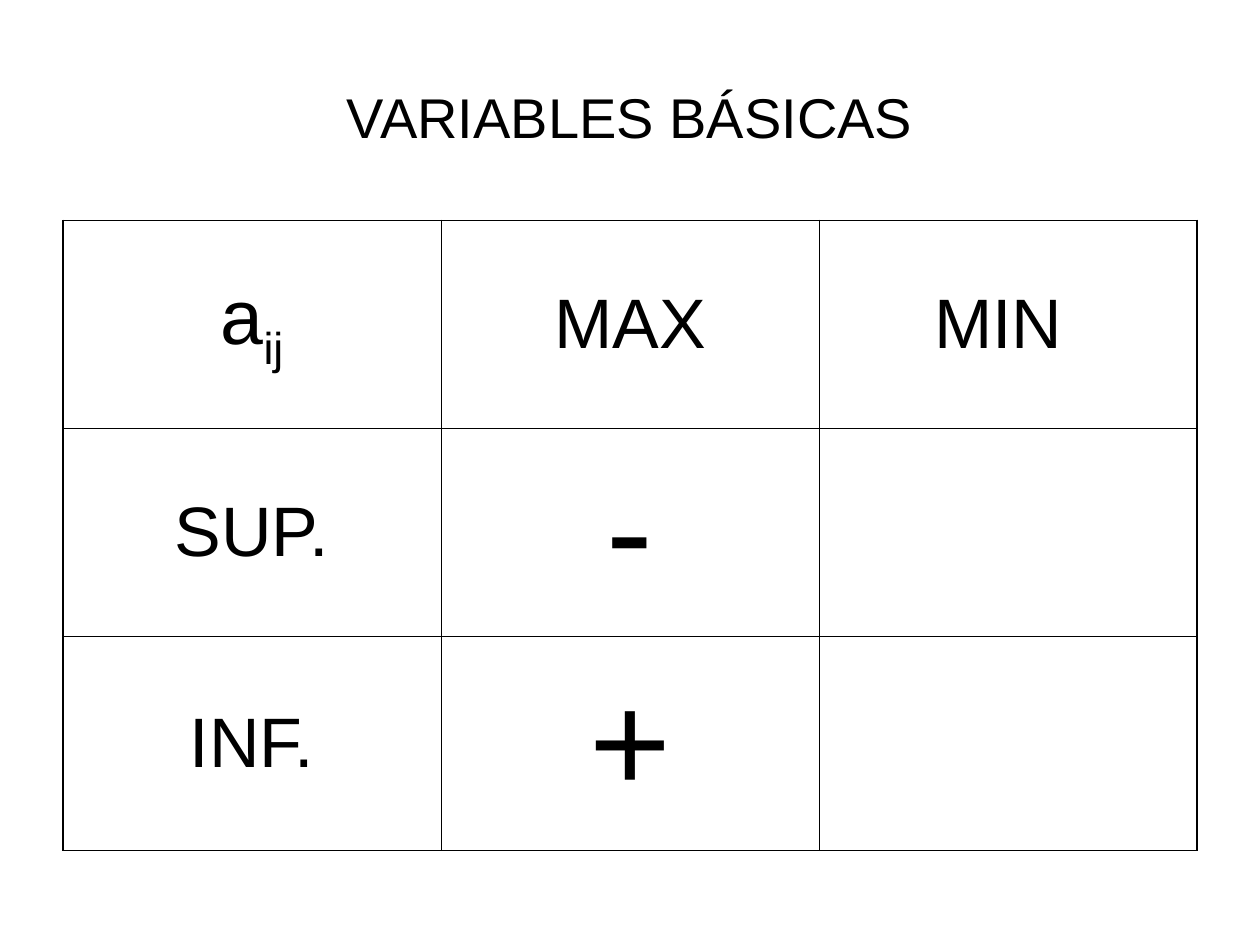
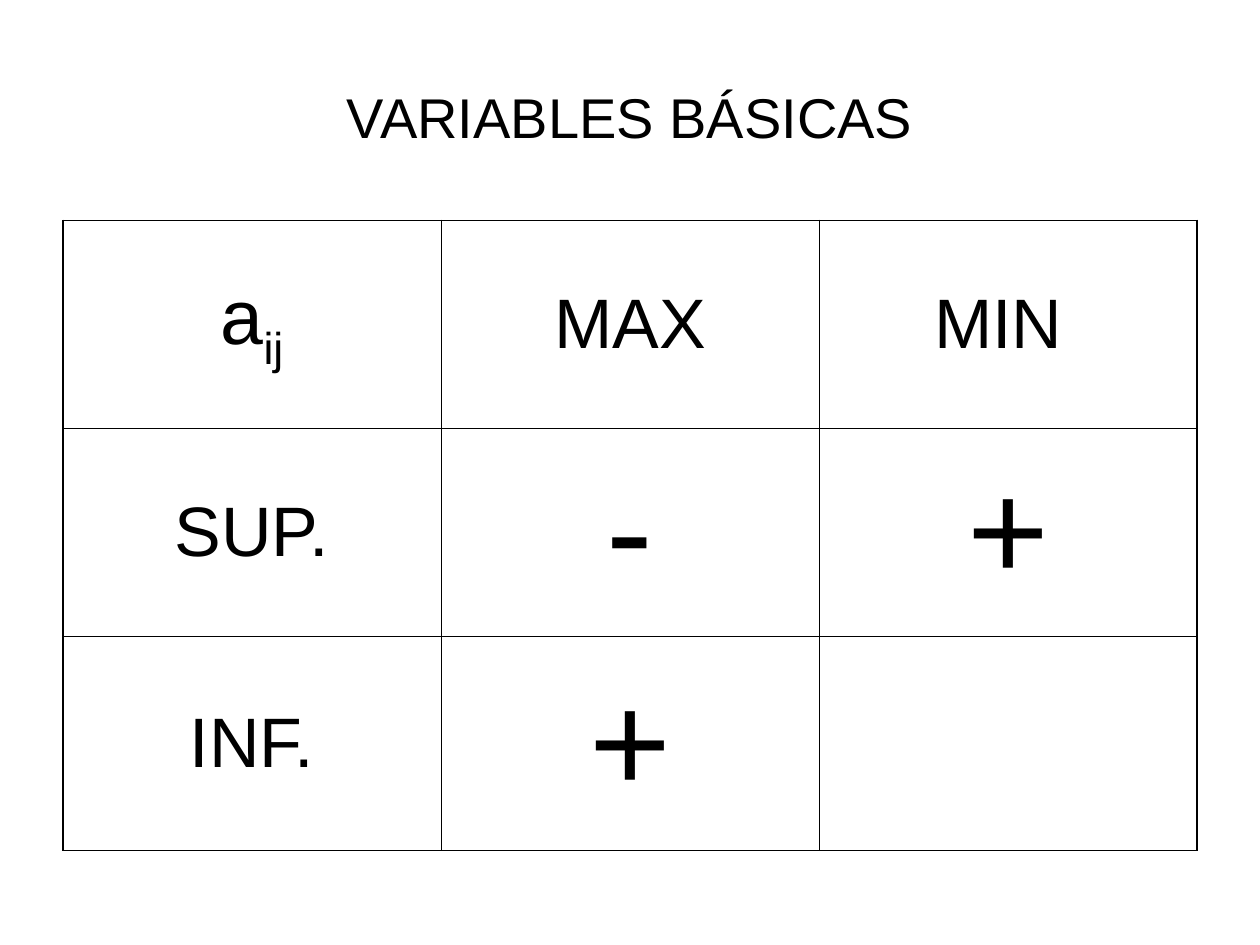
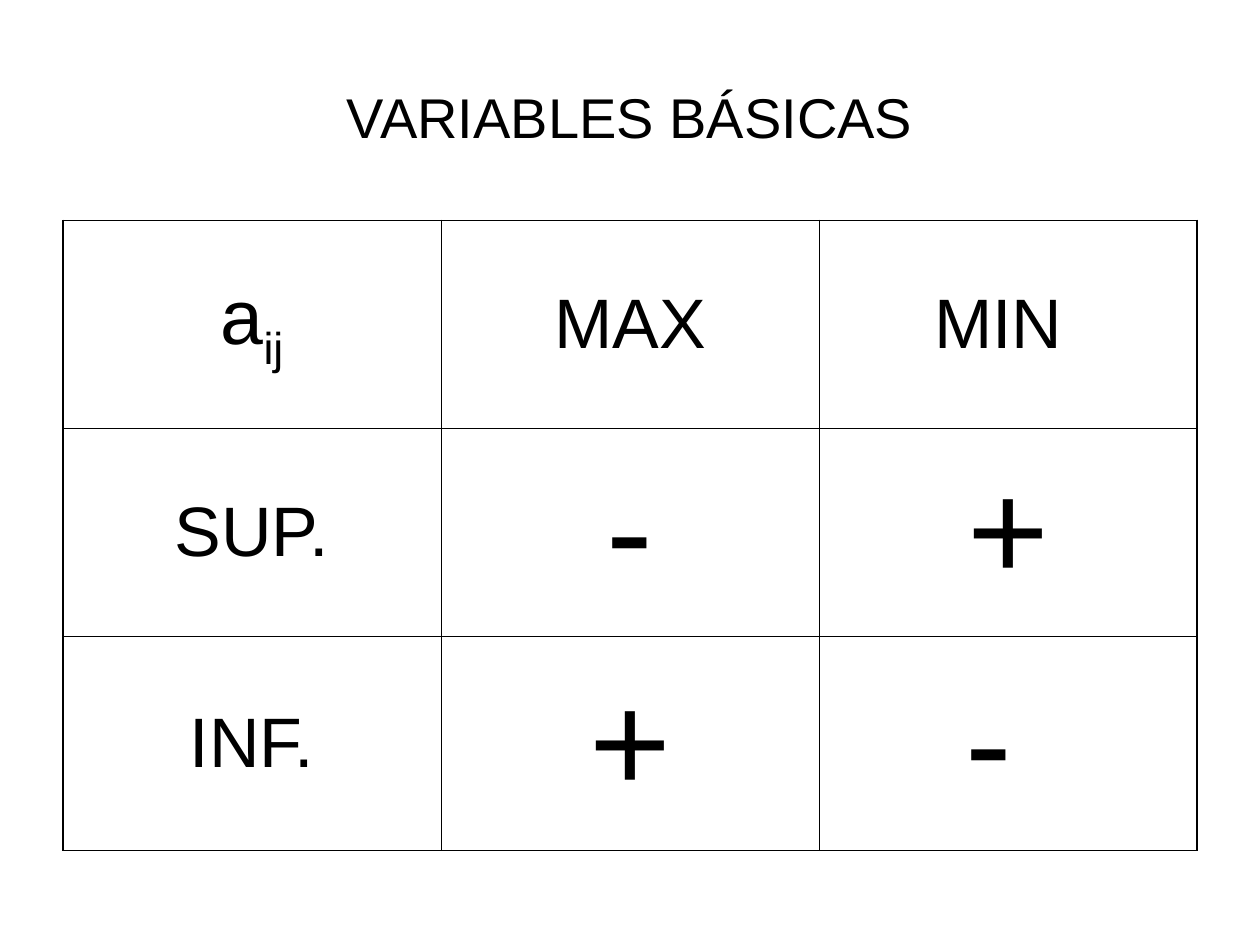
from lxml import etree
from pptx import Presentation
from pptx.dml.color import RGBColor
from pptx.enum.text import MSO_ANCHOR, PP_ALIGN
from pptx.oxml.ns import qn
from pptx.util import Pt

PX = 9144
FONT = "Arial"
BLACK = RGBColor(0x00, 0x00, 0x00)
CENTER = PP_ALIGN.CENTER
MIDDLE = MSO_ANCHOR.MIDDLE
BLANK_LAYOUT = 6

SLIDE_SIZE = (1000, 750)
TITLE_BOX = (50, 30, 900, 125)
TABLE_BOX = (50, 175, 900, 500)
ROW_HEIGHTS = (165, 165, 170)
INSET_X, INSET_Y = 10, 5

TITLE = "VARIABLES BÁSICAS"
TITLE_SIZE, VARIABLE_SIZE, LABEL_SIZE, SIGN_SIZE = 32, 44, 40, 80
OUTER_LINE, INNER_LINE = 1.08, 0.45
SUBSCRIPT = "-25000"

HEADER = ("a", "MAX", "MIN ")
VARIABLE_INDEX = "ij"
SIGN_STEPS = (
    (("-", ""), ("+", "")),
    (("-", "+"), ("+", "")),
    (("-", "+"), ("+", "- ")),
)


def px(*lengths):
    """Turn px lengths into EMU."""
    return [length * PX for length in lengths]


def add_run(paragraph, text, size):
    """Add one black run and return it."""
    run = paragraph.add_run()
    run.text = text
    run.font.name = FONT
    run.font.size = Pt(size)
    run.font.color.rgb = BLACK
    return run


def set_insets(holder):
    """Set the shared margins of a cell or text frame."""
    holder.margin_left, holder.margin_right = px(INSET_X, INSET_X)
    holder.margin_top, holder.margin_bottom = px(INSET_Y, INSET_Y)
    holder.vertical_anchor = MIDDLE


def add_title(slide, box):
    """Place the centred heading in its box."""
    frame = slide.shapes.add_textbox(*px(*box)).text_frame
    frame.word_wrap = True
    set_insets(frame)
    heading = frame.paragraphs[0]
    heading.alignment = CENTER
    add_run(heading, TITLE, TITLE_SIZE)


def set_borders(cell, outer_sides):
    """Draw the four cell edges, heavier on the table's outline."""
    properties = cell._tc.get_or_add_tcPr()
    for side, is_outer in outer_sides.items():
        width = Pt(OUTER_LINE if is_outer else INNER_LINE)
        edge = etree.SubElement(properties, qn(f"a:ln{side}"), w=str(width))
        fill = etree.SubElement(edge, qn("a:solidFill"))
        etree.SubElement(fill, qn("a:srgbClr"), val=str(BLACK))


def fill_cell(cell, text, size):
    """Write the centred cell text, if any."""
    set_insets(cell)
    cell.fill.background()
    entry = cell.text_frame.paragraphs[0]
    entry.alignment = CENTER
    if text:
        add_run(entry, text, size)
    return entry


def add_sign_table(slide, box, signs):
    """Place the table of signs by limit and objective."""
    rows = (HEADER, ("SUP.", *signs[0]), ("INF.", *signs[1]))
    last_row, last_column = len(rows) - 1, len(HEADER) - 1
    table = slide.shapes.add_table(len(rows), len(HEADER), *px(*box)).table
    table.first_row = table.horz_banding = False
    for row, height in zip(table.rows, ROW_HEIGHTS):
        row.height = height * PX
    for r, texts in enumerate(rows):
        for c, text in enumerate(texts):
            cell = table.cell(r, c)
            set_borders(cell, {"L": c == 0, "R": c == last_column,
                               "T": r == 0, "B": r == last_row})
            is_variable = r == c == 0
            size = SIGN_SIZE if r and c else LABEL_SIZE
            entry = fill_cell(cell, text, VARIABLE_SIZE if is_variable else size)
            if is_variable:
                index = add_run(entry, VARIABLE_INDEX, VARIABLE_SIZE)
                index._r.get_or_add_rPr().set("baseline", SUBSCRIPT)


def main():
    """Build one slide for each step of the sign table."""
    deck = Presentation()
    deck.slide_width, deck.slide_height = px(*SLIDE_SIZE)
    for signs in SIGN_STEPS:
        slide = deck.slides.add_slide(deck.slide_layouts[BLANK_LAYOUT])
        add_title(slide, TITLE_BOX)
        add_sign_table(slide, TABLE_BOX, signs)
    deck.save("out.pptx")


if __name__ == "__main__":
    main()
